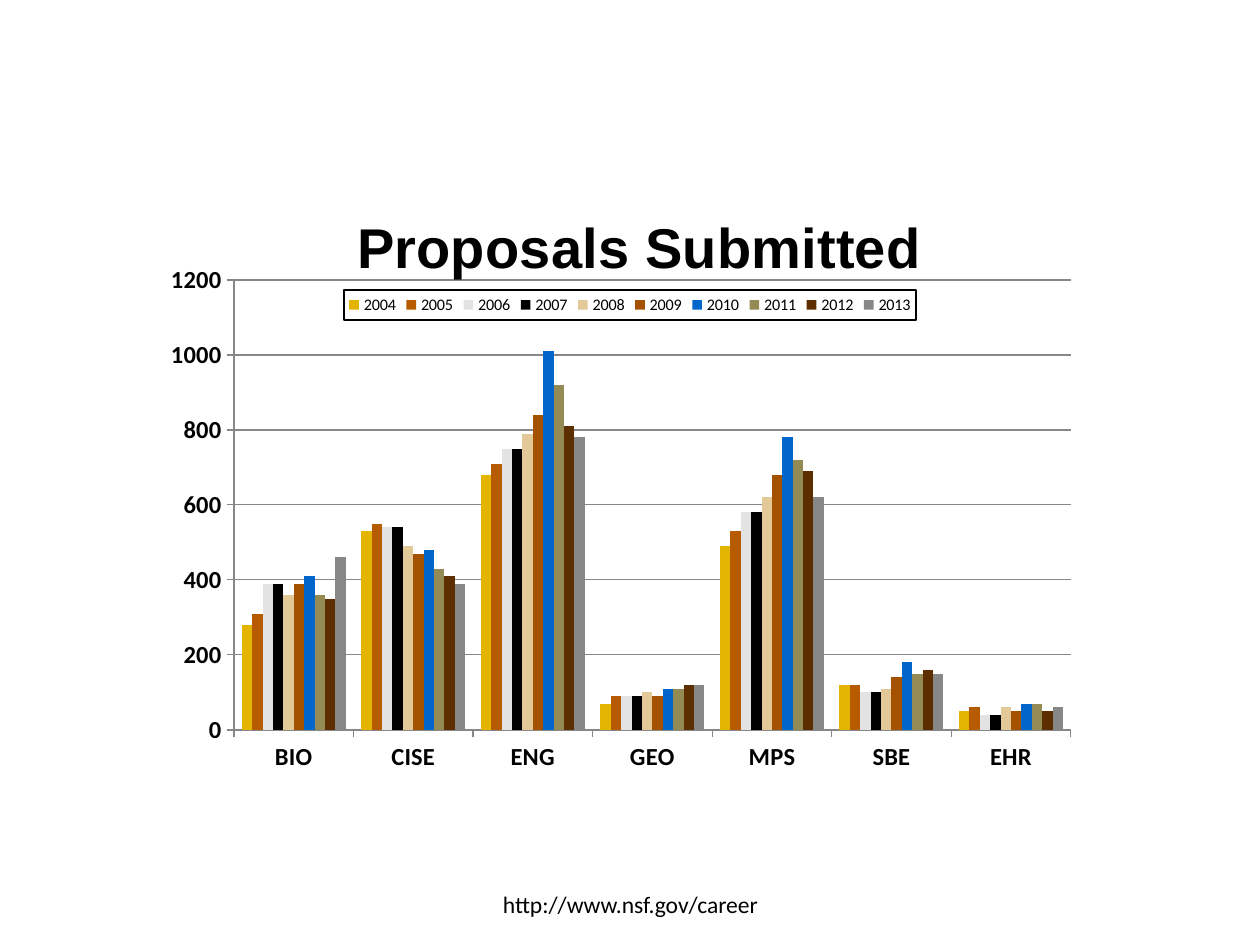
from pptx import Presentation
from pptx.chart.data import CategoryChartData
from pptx.dml.color import RGBColor
from pptx.enum.chart import XL_CHART_TYPE, XL_LEGEND_POSITION, XL_TICK_MARK
from pptx.enum.text import MSO_ANCHOR, PP_ALIGN
from pptx.oxml import parse_xml
from pptx.oxml.ns import nsdecls, qn
from pptx.util import Emu, Pt

# Content
TITLE = "Proposals Submitted"
ADDRESS = "http://www.nsf.gov/career"
DIRECTORATES = ["BIO", "CISE", "ENG", "GEO", "MPS", "SBE", "EHR"]
BLACK = RGBColor(0, 0, 0)
GRAY = RGBColor(0x87, 0x87, 0x87)
YEARS = [
    ("2004", RGBColor(0xE3, 0xB5, 0x00), [280, 530, 680, 70, 490, 120, 50]),
    ("2005", RGBColor(0xB6, 0x5B, 0x00), [310, 550, 710, 90, 530, 120, 60]),
    ("2006", RGBColor(0xE3, 0xE3, 0xE3), [390, 540, 750, 90, 580, 100, 40]),
    ("2007", BLACK, [390, 540, 750, 90, 580, 100, 40]),
    ("2008", RGBColor(0xE3, 0xC9, 0x97), [360, 490, 790, 100, 620, 110, 60]),
    ("2009", RGBColor(0xA5, 0x52, 0x00), [390, 470, 840, 90, 680, 140, 50]),
    ("2010", RGBColor(0x00, 0x66, 0xCC), [410, 480, 1010, 110, 780, 180, 70]),
    ("2011", RGBColor(0x94, 0x8A, 0x54), [360, 430, 920, 110, 720, 150, 70]),
    ("2012", RGBColor(0x5C, 0x2E, 0x00), [350, 410, 810, 120, 690, 160, 50]),
    ("2013", GRAY, [460, 390, 780, 120, 620, 150, 60]),
]

# Geometry in px: left, top, width, height
SLIDE = (1260, 945)
CHART_BOX = (158, 165, 945, 630)
PLOT_BOX = (234, 280, 837, 450)
LEGEND_BOX = (344, 290, 572, 30)
TITLE_AT = (347, 200)
ADDRESS_BOX = (431, 861, 399, 63)

# Text formats
TITLE_FONT = {"name": "Arial", "size": Pt(32), "bold": True}
AXIS_FONT = {"name": "Calibri", "size": Pt(14), "bold": True}
LEGEND_FONT = {"name": "Calibri", "size": Pt(9.2), "bold": False}
ADDRESS_FONT = {"name": "Calibri", "size": Pt(13.5)}


def px(length):
    return Emu(round(length * 914400 / 126))


def set_format(target, values):
    for key, value in values.items():
        setattr(target, key, value)


def set_font(font, values):
    set_format(font, values)
    font.color.rgb = BLACK


def place(part, box, after=None, inner=False):
    """Put a chart part at a px box, given to the chart as fractions."""
    left, top, width, height = CHART_BOX
    fractions = [(box[0] - left) / width, (box[1] - top) / height]
    fractions += [n / whole for n, whole in zip(box[2:], (width, height))]
    tags = '<c:layoutTarget val="inner"/>' if inner else ""
    tags += '<c:xMode val="edge"/><c:yMode val="edge"/>'
    tags += "".join(f'<c:{k} val="{n:.4f}"/>' for k, n in zip("xywh", fractions))
    for old in part.findall(qn("c:layout")):
        part.remove(old)
    layout = parse_xml(f'<c:layout {nsdecls("c")}><c:manualLayout>{tags}'
                       "</c:manualLayout></c:layout>")
    if after:
        part.find(qn(after)).addnext(layout)
    else:
        part.insert(0, layout)


deck = Presentation()
deck.slide_width, deck.slide_height = map(px, SLIDE)
slide = deck.slides.add_slide(deck.slide_layouts[6])

# Address at the foot
address = slide.shapes.add_textbox(*map(px, ADDRESS_BOX)).text_frame
set_format(address, {"word_wrap": True, "vertical_anchor": MSO_ANCHOR.BOTTOM})
address_line = address.paragraphs[0]
address_line.alignment = PP_ALIGN.CENTER
address_line.text = ADDRESS
set_font(address_line.runs[0].font, ADDRESS_FONT)

# Chart with one column per year
proposals = CategoryChartData()
proposals.categories = DIRECTORATES
for year, _, counts in YEARS:
    proposals.add_series(year, counts)
chart = slide.shapes.add_chart(
    XL_CHART_TYPE.COLUMN_CLUSTERED, *map(px, CHART_BOX), proposals).chart
set_font(chart.font, {"name": "Arial", "size": Pt(10)})
plot = chart.plots[0]
set_format(plot, {"gap_width": 150, "overlap": 0, "vary_by_categories": False})
for series, (_, color, _) in zip(plot.series, YEARS):
    series.format.fill.solid()
    series.format.fill.fore_color.rgb = color
    series.invert_if_negative = False
place(chart.plots[0]._element.getparent(), PLOT_BOX, inner=True)

# Title
chart.has_title = True
heading = chart.chart_title.text_frame
heading.text = TITLE
set_font(heading.paragraphs[0].runs[0].font, TITLE_FONT)
place(chart.chart_title._element, TITLE_AT, after="c:tx")

# Axes
set_format(chart.value_axis, {"minimum_scale": 0, "maximum_scale": 1200,
                              "major_unit": 200, "has_major_gridlines": True})
for axis in (chart.category_axis, chart.value_axis):
    axis.major_tick_mark = XL_TICK_MARK.OUTSIDE
    set_font(axis.tick_labels.font, AXIS_FONT)
for line in (chart.category_axis.format.line, chart.value_axis.format.line,
             chart.value_axis.major_gridlines.format.line):
    line.color.rgb = GRAY
    line.width = Pt(0.75)

# Legend with a thin frame
chart.has_legend = True
legend = chart.legend
set_format(legend, {"position": XL_LEGEND_POSITION.TOP, "include_in_layout": False})
set_font(legend.font, LEGEND_FONT)
place(legend._element, LEGEND_BOX, after="c:legendPos")
legend._element.find(qn("c:overlay")).addnext(parse_xml(
    f'<c:spPr {nsdecls("c", "a")}><a:noFill/><a:ln w="9525"><a:solidFill>'
    f'<a:srgbClr val="{BLACK}"/></a:solidFill></a:ln></c:spPr>'))

deck.save("out.pptx")
